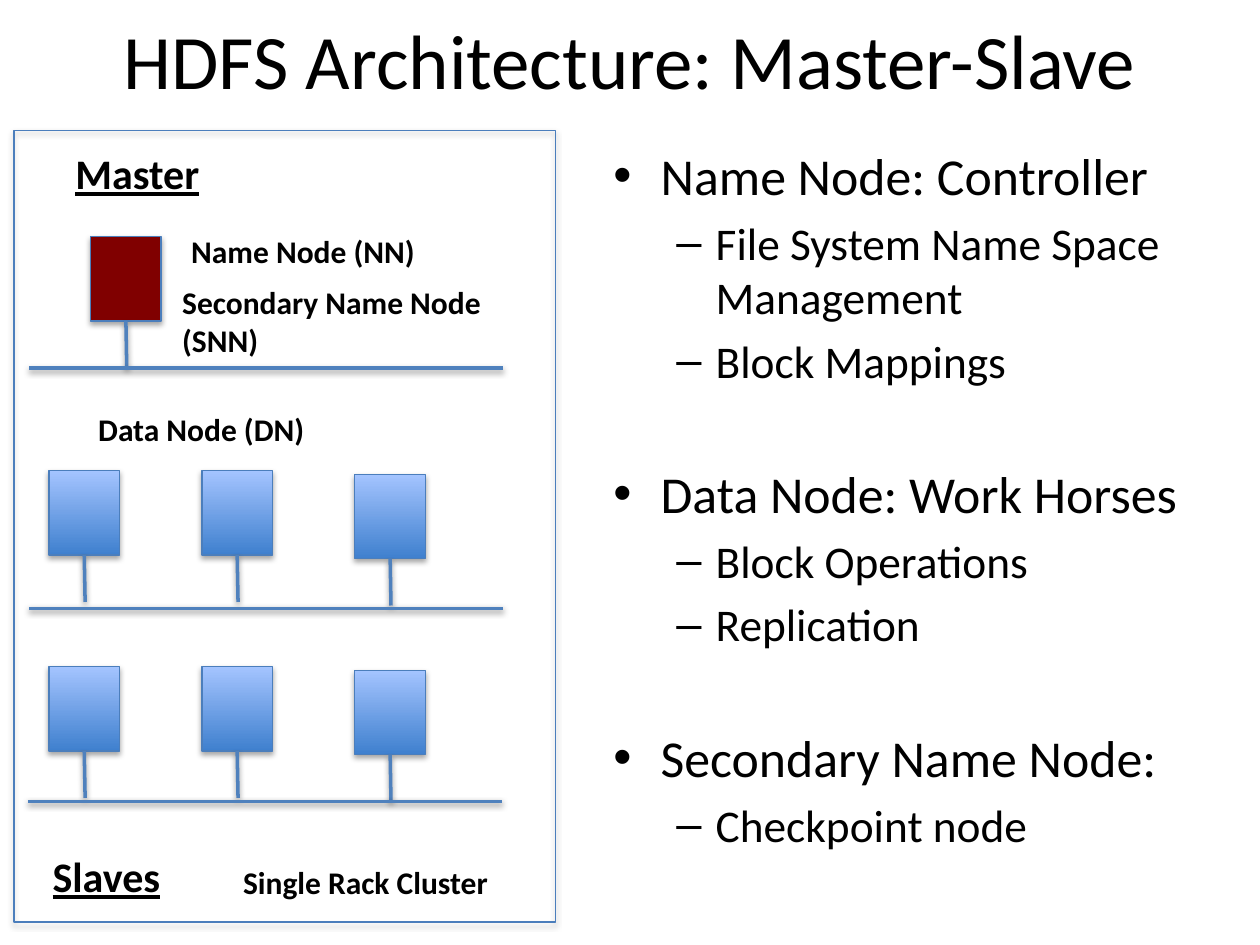
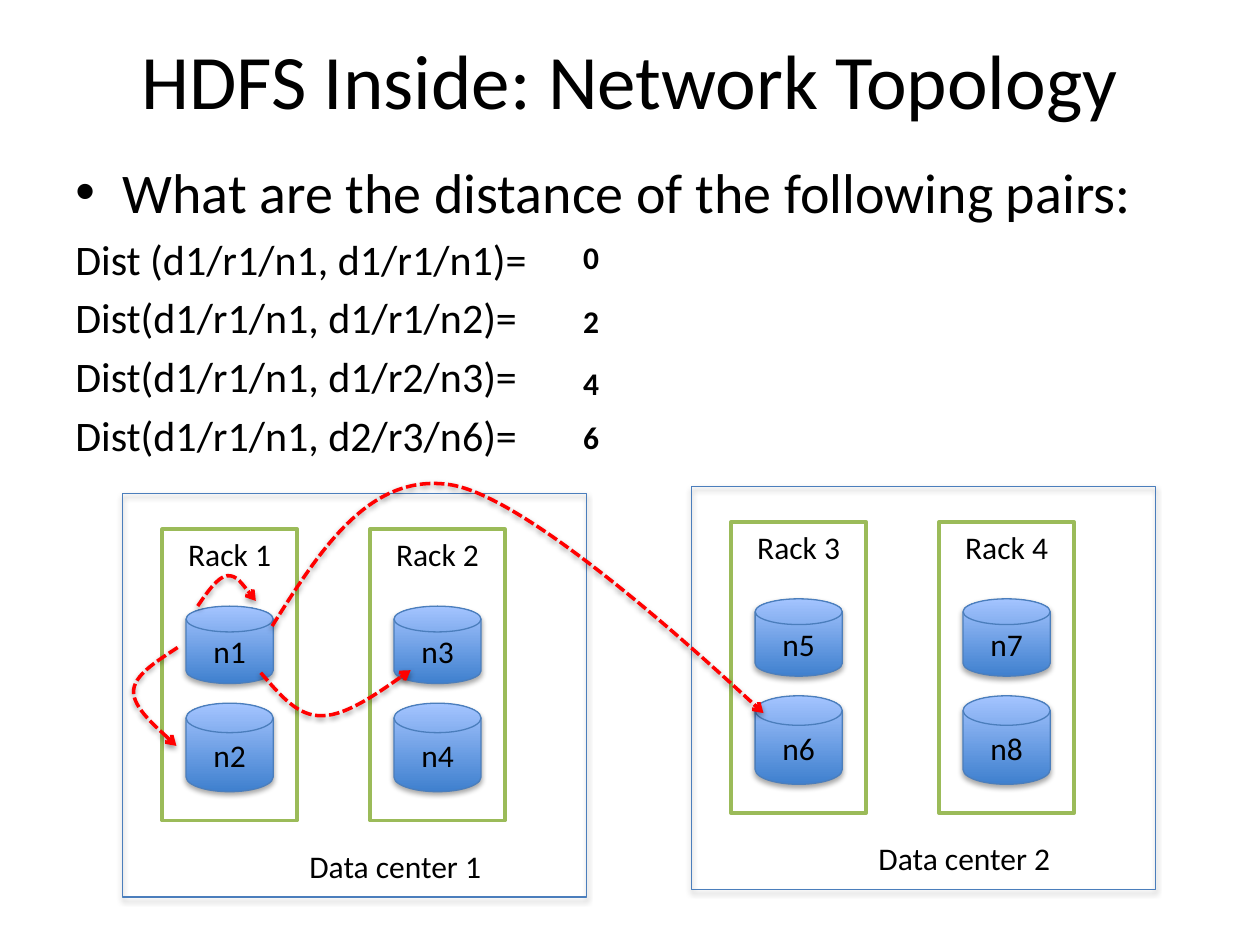
from dataclasses import dataclass

from lxml import etree
from pptx import Presentation
from pptx.dml.color import RGBColor
from pptx.enum import dml, shapes as kinds, text as styles
from pptx.oxml import parse_xml
from pptx.oxml.ns import nsdecls, qn
from pptx.util import Pt


@dataclass(frozen=True)
class Theme:
    font: str = "Calibri"
    text: str = "000000"
    paper: str = "FFFFFF"
    outline: str = "4B7EBC"
    wire: str = "4F81BD"
    master: str = "800000"
    rack: str = "9BBB59"
    route: str = "FF0000"
    node_bottom: str = "3F80CE"
    node_top: str = "A4C4FF"
    title_size: float = 44
    heading_size: float = 24
    label_size: float = 18
    thin: float = 0.75
    thick: float = 2


THEME = Theme()
LEFT, CENTER = styles.PP_ALIGN.LEFT, styles.PP_ALIGN.CENTER
BULLETS = {0: ("•", 27, -27), 1: ("–", 58.5, -22.5)}
NODE_WIDTH, NODE_HEIGHT = 40.3, 48.2


def color(value):
    return RGBColor.from_string(value)


def points(*values):
    return [Pt(value) for value in values]


def add_run(paragraph, words, size, bold=False, underline=False):
    run = paragraph.add_run()
    run.text = words
    font = run.font
    font.name, font.size = THEME.font, Pt(size)
    font.bold, font.underline = bold, underline
    font.color.rgb = color(THEME.text)


def set_line(shape, value, width):
    shape.line.color.rgb = color(value)
    shape.line.width = Pt(width)


def add_shadow(shape, opacity=35, distance=1.8):
    """Put a soft shadow straight below a shape whose line is already set."""
    shape._element.spPr.append(parse_xml(
        f'<a:effectLst {nsdecls("a")}><a:outerShdw blurRad="{Pt(3.15)}" '
        f'dist="{Pt(distance)}" dir="5400000" rotWithShape="0">'
        f'<a:srgbClr val="000000"><a:alpha val="{opacity * 1000}"/></a:srgbClr>'
        '</a:outerShdw></a:effectLst>'))


def fill_gradient(shape):
    shape.fill.gradient()
    shape.fill.gradient_angle = 90
    for stop, value in zip(shape.fill.gradient_stops,
                           (THEME.node_bottom, THEME.node_top)):
        stop.color.rgb = color(value)
    for position, stop in enumerate(shape.fill.gradient_stops):
        stop.position = position


def add_frame(shapes, left, top, width, height):
    frame = shapes.add_shape(kinds.MSO_SHAPE.RECTANGLE,
                             *points(left, top, width, height))
    frame.fill.background()
    set_line(frame, THEME.outline, THEME.thin)
    add_shadow(frame)
    return frame


def add_title(slide, words, top):
    title = slide.shapes.title
    title.left, title.top, title.width, title.height = points(36, top, 648, 90)
    title.text_frame.vertical_anchor = styles.MSO_ANCHOR.MIDDLE
    paragraph = title.text_frame.paragraphs[0]
    paragraph.alignment = CENTER
    add_run(paragraph, words, THEME.title_size)


def add_label(shapes, words, left, top, width, height=28.8, wrap=True,
              size=THEME.label_size, bold=True, underline=False):
    box = shapes.add_textbox(*points(left, top, width, height))
    box.text_frame.word_wrap = wrap
    box.text_frame.auto_size = styles.MSO_AUTO_SIZE.SHAPE_TO_FIT_TEXT
    add_run(box.text_frame.paragraphs[0], words, size, bold, underline)


def set_bullet(paragraph, level):
    mark, margin, indent = BULLETS[level]
    paragraph.level = level
    properties = paragraph._p.get_or_add_pPr()
    properties.set("marL", str(Pt(margin)))
    properties.set("indent", str(Pt(indent)))
    etree.SubElement(properties, qn("a:buFont")).set("typeface", "Arial")
    etree.SubElement(properties, qn("a:buChar")).set("char", mark)


def add_body(slide, place, lines):
    """Write lines of (words, size, bullet level or None, extra space before)."""
    frame = slide.shapes.add_textbox(*points(*place)).text_frame
    frame.word_wrap = True
    for index, (words, size, level, gap) in enumerate(lines):
        paragraph = frame.add_paragraph() if index else frame.paragraphs[0]
        if level is not None:
            set_bullet(paragraph, level)
        if index:
            paragraph.space_before = Pt(round(size * 0.2 + gap, 1))
        paragraph.alignment = LEFT
        add_run(paragraph, words, size)


def add_wire(shapes, start, end, source=None):
    """Draw a network line; it leaves the bottom of source when given."""
    wire = shapes.add_connector(kinds.MSO_CONNECTOR.STRAIGHT,
                                *points(*start, *end))
    if source is not None:
        wire.begin_connect(source, 2)
    set_line(wire, THEME.wire, THEME.thick)
    add_shadow(wire, 38, 1.6)


def add_machine(shapes, left, top, fill=None):
    """Draw a node with its stem down to the network line."""
    machine = add_frame(shapes, left, top, NODE_WIDTH, NODE_HEIGHT)
    if fill:
        machine.fill.solid()
        machine.fill.fore_color.rgb = color(fill)
    else:
        fill_gradient(machine)
    middle, bottom = left + NODE_WIDTH / 2, top + NODE_HEIGHT
    add_wire(shapes, (middle, bottom), (middle + 0.5, bottom + 26.8), machine)


def add_disk(shapes, name, left, top, height):
    disk = shapes.add_shape(kinds.MSO_SHAPE.FLOWCHART_MAGNETIC_DISK,
                            *points(left, top, 49.8, height))
    fill_gradient(disk)
    set_line(disk, THEME.outline, THEME.thin)
    add_shadow(disk)
    disk.text_frame.vertical_anchor = styles.MSO_ANCHOR.MIDDLE
    paragraph = disk.text_frame.paragraphs[0]
    paragraph.alignment = CENTER
    add_run(paragraph, name, THEME.label_size)


def add_rack(shapes, number, left, top):
    """Draw a rack with its two numbered nodes."""
    rack = shapes.add_shape(kinds.MSO_SHAPE.RECTANGLE,
                            *points(left, top, 77.2, 166.5))
    rack.fill.solid()
    rack.fill.fore_color.rgb = color(THEME.paper)
    set_line(rack, THEME.rack, THEME.thick)
    rack.shadow.inherit = False
    rack.text_frame.vertical_anchor = styles.MSO_ANCHOR.TOP
    paragraph = rack.text_frame.paragraphs[0]
    paragraph.alignment = CENTER
    add_run(paragraph, f"Rack {number}", THEME.label_size)
    add_disk(shapes, f"n{2 * number - 1}", left + 13.7, top + 44, 44.2)
    add_disk(shapes, f"n{2 * number}", left + 13.7, top + 99.4, 50.6)


def add_data_center(slide, number, left, top):
    shapes = slide.shapes.add_group_shape().shapes
    add_frame(shapes, left, top, 265.2, 230.4)
    for index in range(2):
        add_rack(shapes, 2 * number - 1 + index,
                 left + 22.6 + 118.8 * index, top + 20.2)
    add_label(shapes, f"Data center {number}", left + 99.7, top + 198,
              118.8, 26, bold=False)


def add_route(slide, start, *controls):
    """Draw a dashed arrow along cubic curves, three control points each."""
    builder = slide.shapes.build_freeform(*points(*start))
    builder.add_line_segments([points(*point) for point in controls],
                              close=False)
    route = builder.convert_to_shape()
    segments = list(route._element.iter(qn("a:lnTo")))
    for first in range(0, len(segments), 3):
        curve, *others = segments[first:first + 3]
        bezier = etree.Element(qn("a:cubicBezTo"))
        curve.addprevious(bezier)
        for segment in (curve, *others):
            bezier.append(segment[0])
            segment.getparent().remove(segment)
    route.fill.background()
    set_line(route, THEME.route, THEME.thick)
    route.line.dash_style = dml.MSO_LINE.SQUARE_DOT
    etree.SubElement(route.line._ln, qn("a:tailEnd")).set("type", "arrow")
    add_shadow(route, 38, 1.6)


def build_architecture(slide):
    shapes = slide.shapes
    add_frame(shapes, 8, 74.7, 309.4, 452.3)
    add_title(slide, "HDFS Architecture: Master-Slave", -11.5)
    large, small, section_gap = 29.6, 25.9, 36.8
    add_body(slide, (343.4, 78.5, 366.5, 422.6), [
        ("Name Node: Controller", large, 0, 0),
        ("File System Name Space Management", small, 1, 0),
        ("Block Mappings", small, 1, 0),
        ("Data Node: Work Horses", large, 0, section_gap),
        ("Block Operations", small, 1, 0),
        ("Replication", small, 1, 0),
        ("Secondary Name Node:", large, 0, section_gap),
        ("Checkpoint node", small, 1, 0),
    ])
    add_machine(shapes, 51.8, 135.3, THEME.master)
    for row_top in (269, 381):
        for column, drop in enumerate((0, 0, 2)):
            add_machine(shapes, 28 + 87.4 * column, row_top + drop)
    for left, top in ((16.6, 210.3), (16.6, 347.6), (16, 458)):
        add_wire(shapes, (left, top), (left + 270.7, top))
    for words, left, top, width in (("Master", 36, 80.8, 86.4),
                                    ("Slaves", 23, 482.5, 77)):
        add_label(shapes, words, left, top, width, 36, wrap=False,
                  size=THEME.heading_size, underline=True)
    add_label(shapes, "Name Node (NN)", 102.2, 129, 182)
    add_label(shapes, "Data Node (DN)", 49, 231, 182)
    add_label(shapes, "Secondary Name Node (SNN)", 97, 158.4, 231, 51)
    add_label(shapes, "Single Rack Cluster", 131.8, 489.6, 182)


def build_topology(slide):
    add_title(slide, "HDFS Inside: Network Topology", 0)
    pairs = ("Dist (d1/r1/n1, d1/r1/n1)=", "Dist(d1/r1/n1, d1/r1/n2)=",
             "Dist(d1/r1/n1, d1/r2/n3)=", "Dist(d1/r1/n1, d2/r3/n6)=")
    add_body(slide, (36, 86.4, 648, 375.8),
             [("What are the distance of the following pairs:", 32, 0, 0)]
             + [(pair, THEME.heading_size, None, 0) for pair in pairs])
    add_data_center(slide, 2, 395.2, 278)
    add_data_center(slide, 1, 70, 282.2)
    add_route(slide, (113, 346.3), (118.8, 337.7), (124.6, 329.8),
              (129.6, 329), (135.4, 328.3), (146.2, 343.4), (146.2, 343.4))
    add_route(slide, (101.5, 370), (89.3, 378), (76.3, 385.9),
              (76.3, 395.3), (76.3, 404.6), (100.8, 426.2), (100.8, 426.2))
    add_route(slide, (149, 384.5), (159.8, 396.7), (169.9, 409.7),
              (184.3, 409), (198.7, 409), (234.7, 383), (234.7, 383))
    add_route(slide, (155.5, 357.8), (183.6, 313.2), (211.7, 269.3),
              (258.5, 277.2), (305.3, 285.8), (436.3, 407.5), (436.3, 407.5))
    for distance, top in zip("0246", (132.5, 169.2, 204.5, 235.4)):
        add_label(slide.shapes, distance, 326.2, top, 28)


def main():
    presentation = Presentation()
    presentation.slide_width, presentation.slide_height = points(720, 540)
    title_only = presentation.slide_layouts[5]
    for build in (build_architecture, build_topology):
        build(presentation.slides.add_slide(title_only))
    presentation.save("out.pptx")


if __name__ == "__main__":
    main()
